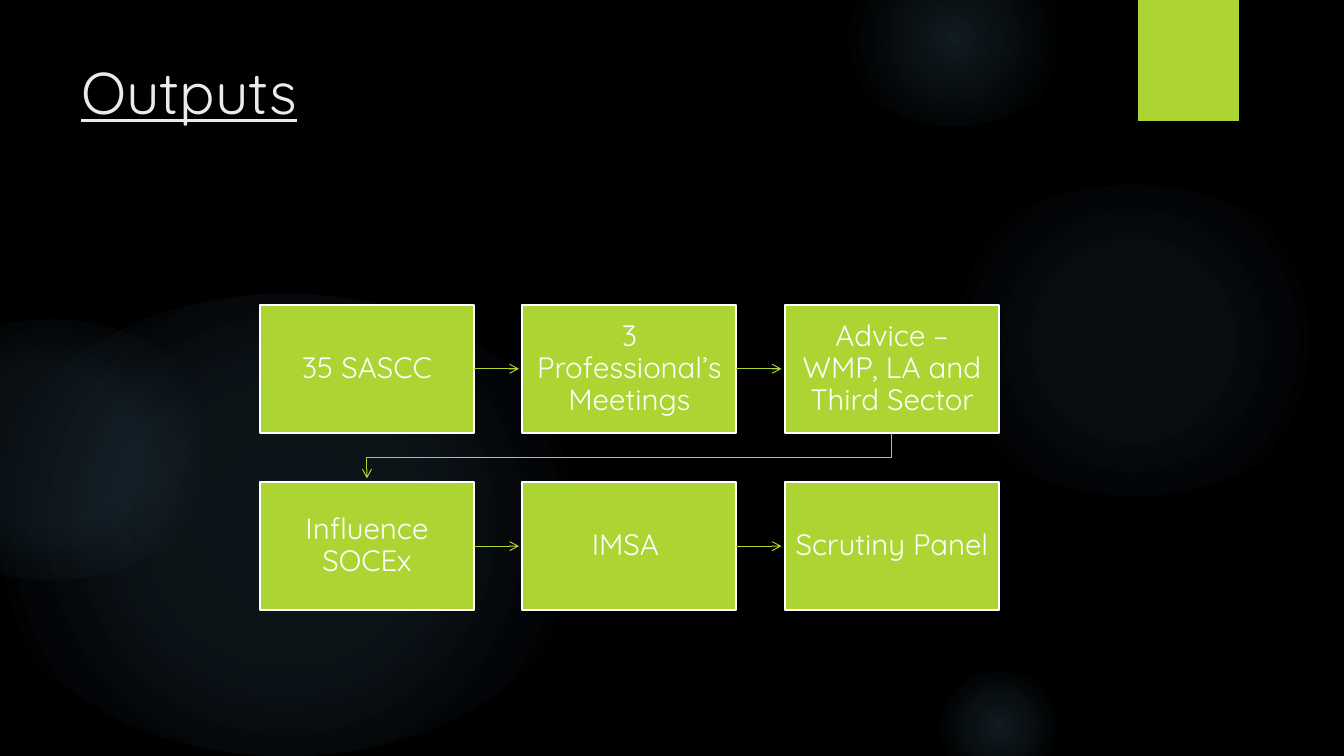
import pptx
import pptx.dml.color
import pptx.enum.shapes
import pptx.enum.text
import pptx.oxml
import pptx.oxml.ns
import pptx.util

Pt = pptx.util.Pt
KIND = pptx.enum.shapes.MSO_SHAPE
FONT = "Quicksand"
COLORS = {"back": "000000", "lime": "ACD433", "white": "FFFFFF",
          "title": "EBEBEB", "glow": "7AC4F0"}

# left, top, width, height, then (position %, opacity %) from the centre out
GLOWS = [
    (661.5, 132, 296, 222, [(0, 7), (36, 6), (69, 0)]),
    (597.5, -36, 168, 126, [(0, 14), (36, 7), (73, 0)]),
    (661.5, 480, 104, 78, [(0, 14), (36, 7), (66, 0)]),
    (-16, 210, 440, 330, [(0, 11), (36, 10), (75, 0)]),
    (-88, 228, 248, 186, [(0, 8), (36, 8), (72, 0)]),
]
STEPS = [
    ["35 SASCC", "3 Professional’s Meetings", "Advice – WMP, LA and Third Sector"],
    ["Influence SOCEx", "IMSA ", "Scrutiny Panel"],
]
LEFT, TOP = 185.7, 217.6
WIDTH, HEIGHT = 152.8, 91.6
STEP_X, STEP_Y = 187.5, 126.7
GAP = 2.5  # space between an arrow's tip and the next box


def color(name):
    return pptx.dml.color.RGBColor.from_string(COLORS[name])


def element(tag, inner="", attrs=""):
    space = pptx.oxml.ns.nsdecls("a")
    return pptx.oxml.parse_xml(f"<a:{tag} {space} {attrs}>{inner}</a:{tag}>")


def add_block(slide, kind, left, top, width, height):
    shape = slide.shapes.add_shape(kind, Pt(left), Pt(top), Pt(width), Pt(height))
    shape.shadow.inherit = False
    shape.line.fill.background()
    return shape


def fill_lime(shape):
    shape.fill.solid()
    shape.fill.fore_color.rgb = color("lime")


def add_glow(slide, left, top, width, height, stops):
    """Add an ellipse that fades out from its centre."""
    shape = add_block(slide, KIND.OVAL, left, top, width, height)
    marks = "".join(
        f'<a:gs pos="{at * 1000}"><a:srgbClr val="{COLORS["glow"]}">'
        f'<a:alpha val="{alpha * 1000}"/></a:srgbClr></a:gs>'
        for at, alpha in stops)
    fade = element(
        "gradFill",
        f'<a:gsLst>{marks}</a:gsLst><a:path path="circle">'
        '<a:fillToRect l="50000" t="50000" r="50000" b="50000"/></a:path>',
        'rotWithShape="1"')
    shape.element.spPr.find(pptx.oxml.ns.qn("a:prstGeom")).addnext(fade)


def set_font(para, size, name):
    para.font.name = FONT
    para.font.size = Pt(size)
    para.font.color.rgb = color(name)


def add_title(slide, text):
    box = slide.shapes.add_textbox(Pt(51), Pt(36), Pt(741), Pt(110))
    box.text_frame.word_wrap = True
    para = box.text_frame.paragraphs[0]
    para.text = text
    set_font(para, 42, "title")
    para.font.underline = True


def add_step(slide, text, left, top):
    box = add_block(slide, KIND.RECTANGLE, left, top, WIDTH, HEIGHT)
    fill_lime(box)
    box.line.color.rgb = color("white")
    box.line.width = Pt(1.5)
    frame = box.text_frame
    frame.word_wrap = True
    frame.vertical_anchor = pptx.enum.text.MSO_ANCHOR.MIDDLE
    frame.margin_left = frame.margin_right = Pt(7.2)
    frame.margin_top = frame.margin_bottom = Pt(7.9)
    para = frame.paragraphs[0]
    para.text = text
    para.alignment = pptx.enum.text.PP_ALIGN.CENTER
    para.line_spacing = 0.9
    set_font(para, 21, "white")
    return box


def style_arrow(shape):
    shape.line.color.rgb = color("lime")
    shape.line.width = Pt(0.75)
    line = shape.element.spPr.find(pptx.oxml.ns.qn("a:ln"))
    line.append(element("tailEnd", attrs='type="arrow"'))


def add_arrow(slide, start, end):
    """Link a box to the next one in its row."""
    mid = start.top + start.height // 2
    arrow = slide.shapes.add_connector(
        pptx.enum.shapes.MSO_CONNECTOR.STRAIGHT,
        start.left + start.width, mid, end.left - Pt(GAP), mid)
    arrow.begin_connect(start, 3)
    style_arrow(arrow)
    arrow.element.spPr.append(element("effectLst"))


def add_turn(slide, start, end):
    """Link the last box of a row to the first box of the next row."""
    right = start.left + start.width // 2
    left = end.left + end.width // 2
    base = start.top + start.height
    mid = (base + end.top) // 2
    pen = slide.shapes.build_freeform(right, base)
    pen.add_line_segments(
        [(right, mid), (left, mid), (left, end.top - Pt(GAP))], close=False)
    turn = pen.convert_to_shape()
    turn.shadow.inherit = False
    turn.fill.background()
    style_arrow(turn)


def main():
    deck = pptx.Presentation()
    deck.slide_width, deck.slide_height = Pt(960), Pt(540)
    slide = deck.slides.add_slide(deck.slide_layouts[6])
    slide.background.fill.solid()
    slide.background.fill.fore_color.rgb = color("back")

    for glow in GLOWS:
        add_glow(slide, *glow)
    fill_lime(add_block(slide, KIND.RECTANGLE, 813, 0, 72, 86.4))
    add_title(slide, "Outputs")

    rows = [[add_step(slide, text, LEFT + col * STEP_X, TOP + row * STEP_Y)
             for col, text in enumerate(texts)]
            for row, texts in enumerate(STEPS)]
    for row in rows:
        for start, end in zip(row, row[1:]):
            add_arrow(slide, start, end)
    for above, below in zip(rows, rows[1:]):
        add_turn(slide, above[-1], below[0])

    deck.save("out.pptx")


if __name__ == "__main__":
    main()
